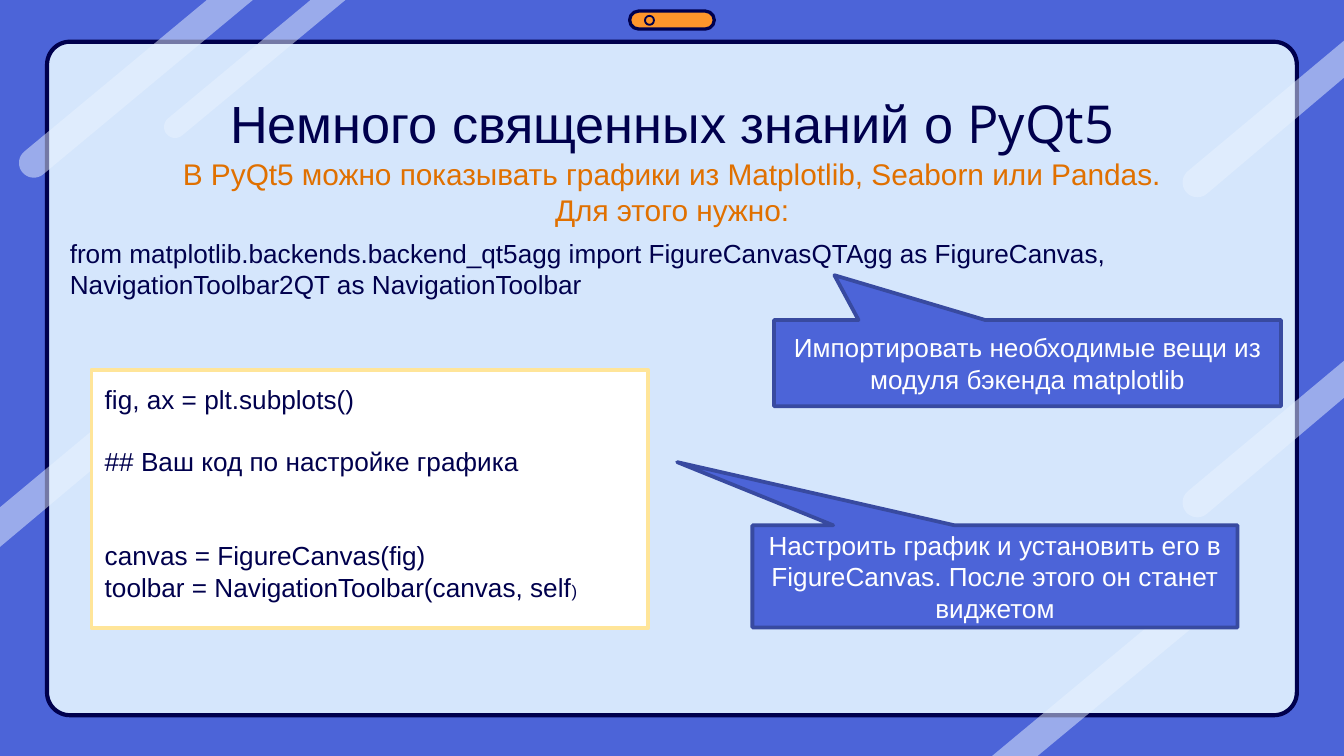
from math import cos, radians, sin

from lxml.etree import SubElement
from pptx import Presentation
from pptx.dml.color import RGBColor
from pptx.enum.shapes import MSO_SHAPE as Shape
from pptx.enum.text import MSO_ANCHOR as Anchor, PP_ALIGN as Align
from pptx.oxml.ns import qn
from pptx.util import Cm, Pt

BLUE = RGBColor(0x4C, 0x64, 0xD8)
DARK_BLUE = RGBColor(0x38, 0x4A, 0xA0)
NAVY = RGBColor(0x00, 0x00, 0x4D)
PALE = RGBColor(0xD5, 0xE6, 0xFC)
GLARE = RGBColor(0xE9, 0xF3, 0xFF)
ORANGE = RGBColor(0xFF, 0x95, 0x2B)
DARK_ORANGE = RGBColor(0xE0, 0x70, 0x00)
CREAM = RGBColor(0xFF, 0xE5, 0x99)
WHITE = RGBColor(0xFF, 0xFF, 0xFF)

WIDTH, HEIGHT = 25.4, 14.29
INSET = 0.25
DOWN_LEFT, UP_RIGHT = 140, -40
BLANK_LINE = 16.8


class Painter:
    font = "Arial"

    def __init__(self, slide):
        self.slide = slide

    def box(self, kind, place, fill, line, weight, adjustments=()):
        shape = self.slide.shapes.add_shape(kind, *map(Cm, place))
        for index, value in enumerate(adjustments):
            shape.adjustments[index] = value
        shape.shadow.inherit = False
        if fill is None:
            shape.fill.background()
        else:
            shape.fill.solid()
            shape.fill.fore_color.rgb = fill
        shape.line.color.rgb = line
        shape.line.width = Pt(weight)
        return shape

    def stripe(self, center, radius, heading, first_end, last_end):
        cap = [
            (center[0] + radius * cos(radians(heading + turn)),
             center[1] + radius * sin(radians(heading + turn)))
            for turn in range(-90, 91, 10)
        ]
        points = [(Cm(x), Cm(y)) for x, y in [*cap, last_end]]
        builder = self.slide.shapes.build_freeform(Cm(first_end[0]), Cm(first_end[1]))
        builder.add_line_segments(points, close=True)
        shape = builder.convert_to_shape()
        shape.shadow.inherit = False
        shape.line.fill.background()
        shape.fill.solid()
        shape.fill.fore_color.rgb = GLARE
        color = shape._element.spPr.find(qn("a:solidFill"))[0]
        SubElement(color, qn("a:alpha"), val="50000")

    def fill_text(self, shape, paragraphs, size, color, align=Align.LEFT,
                  anchor=Anchor.TOP, inset=INSET, gaps=()):
        frame = shape.text_frame
        frame.word_wrap = True
        frame.vertical_anchor = anchor
        frame.margin_left = frame.margin_right = Cm(INSET)
        frame.margin_top = frame.margin_bottom = Cm(inset)
        for index, runs in enumerate(paragraphs):
            paragraph = frame.paragraphs[0] if index == 0 else frame.add_paragraph()
            paragraph.alignment = align
            if gaps:
                paragraph.space_before = Pt(gaps[index] * BLANK_LINE)
            for text, *style in runs:
                run = paragraph.add_run()
                run.text = text
                run.font.name, run.font.size = style or (self.font, Pt(size))
                run.font.color.rgb = color

    def text(self, place, paragraphs, size, color, align=Align.LEFT):
        shape = self.slide.shapes.add_textbox(*map(Cm, place))
        self.fill_text(shape, paragraphs, size, color, align)

    def callout(self, place, tip, text):
        shape = self.box(Shape.RECTANGULAR_CALLOUT, place, BLUE, DARK_BLUE, 2, tip)
        self.fill_text(shape, [[(text,)]], 14, WHITE, Align.CENTER, Anchor.MIDDLE, 0.13)


def main():
    presentation = Presentation()
    presentation.slide_width, presentation.slide_height = Cm(WIDTH), Cm(HEIGHT)
    slide = presentation.slides.add_slide(presentation.slide_layouts[6])
    slide.background.fill.solid()
    slide.background.fill.fore_color.rgb = BLUE
    painter = Painter(slide)

    painter.box(Shape.ROUNDED_RECTANGLE, (0.89, 0.79, 23.62, 12.73),
                PALE, NAVY, 2.25, [0.034])
    painter.stripe((0.64, 3.08), 0.28, DOWN_LEFT, (4.78, 0), (3.91, 0))
    painter.stripe((3.31, 2.4), 0.21, DOWN_LEFT, (6.53, 0), (5.87, 0))
    painter.stripe((23.08, 11.05), 0.28, UP_RIGHT, (18.75, HEIGHT), (19.61, HEIGHT))
    for top in (0.77, 6.82):
        painter.stripe((22.63, top + 2.68), 0.28, DOWN_LEFT,
                       (WIDTH, top + 0.7), (WIDTH, top))
    painter.stripe((2.96, 7.49), 0.28, UP_RIGHT, (0, 9.59), (0, 10.34))
    painter.box(Shape.ROUNDED_RECTANGLE, (11.9, 0.21, 1.6, 0.34),
                ORANGE, NAVY, 1.75, [0.5])
    painter.box(Shape.OVAL, (12.19, 0.3, 0.17, 0.17), None, NAVY, 1)

    painter.text((2.01, 1.47, 21.39, 1.6),
                 [[("Немного священных знаний о ",), ("PyQt5", "Open Sans", Pt(28))]],
                 28, NAVY, Align.CENTER)
    painter.text((1.4, 2.69, 22.61, 2.74),
                 [[("В PyQt5 можно показывать графики из Matplotlib, Seaborn или Pandas.",)],
                  [("Для этого нужно:",)]],
                 16, DARK_ORANGE, Align.CENTER)

    code = painter.box(Shape.RECTANGLE, (1.73, 6.99, 10.52, 4.88), WHITE, CREAM, 2)
    painter.fill_text(code, [
        [("fig, ax = plt.subplots()",)],
        [("## Ваш код по настройке графика",)],
        [("canvas = FigureCanvas(fig)",)],
        [("toolbar = NavigationToolbar(canvas, self",), (")", "Arial", Pt(9))],
    ], 14, NAVY, gaps=(0, 1, 2, 0))

    painter.callout((14.22, 9.93, 9.17, 1.93), (-0.655, -1.119),
                    "Настроить график и установить его в FigureCanvas. "
                    "После этого он станет виджетом")
    painter.text((1.07, 4.24, 23.09, 1.85),
                 [[("from matplotlib.backends.backend_qt5agg import FigureCanvasQTAgg "
                    "as FigureCanvas, NavigationToolbar2QT as NavigationToolbar",)]],
                 14, NAVY)
    painter.callout((14.63, 6.05, 9.58, 1.63), (-0.381, -1.02),
                    "Импортировать необходимые вещи из модуля бэкенда matplotlib")

    presentation.save("out.pptx")


if __name__ == "__main__":
    main()
